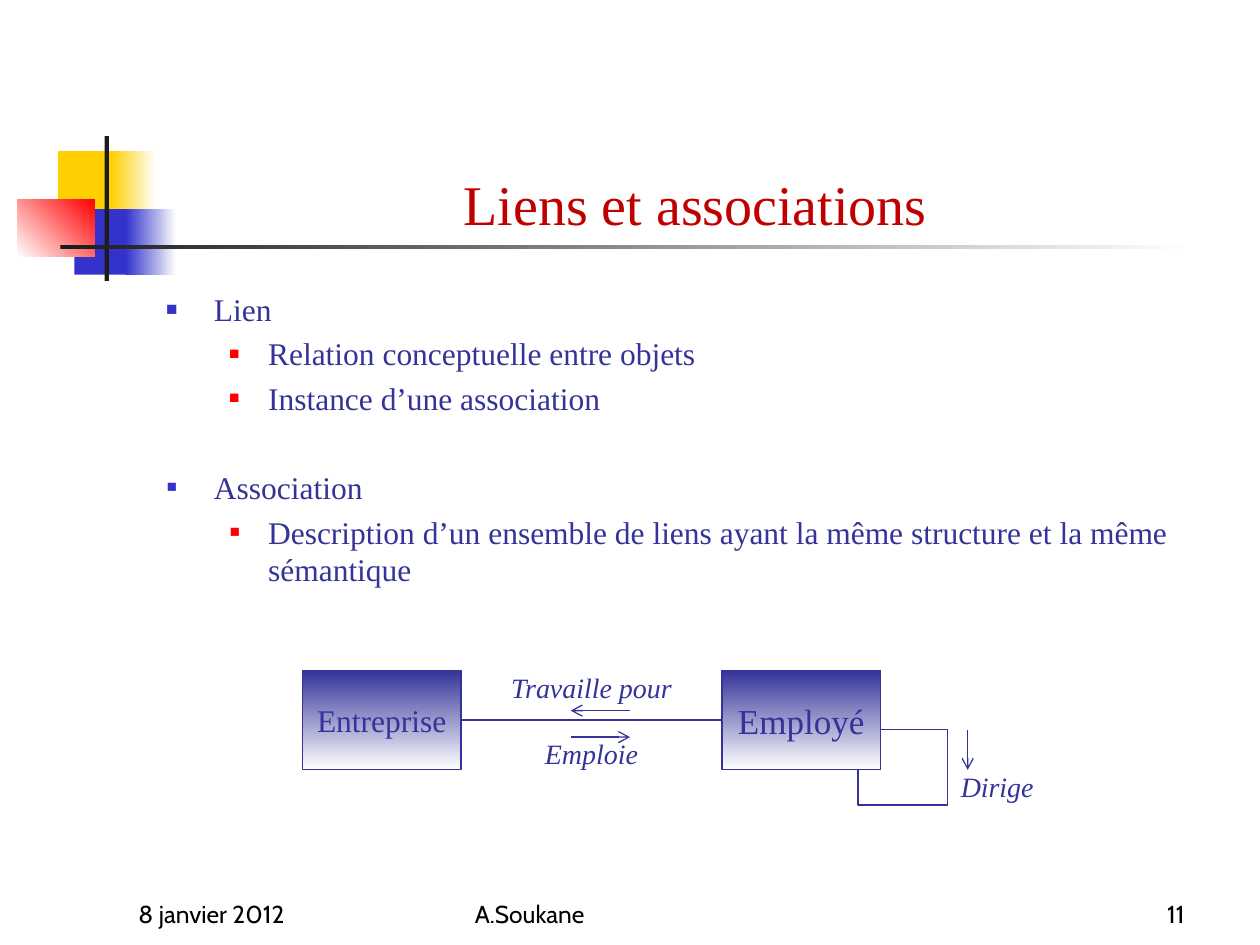
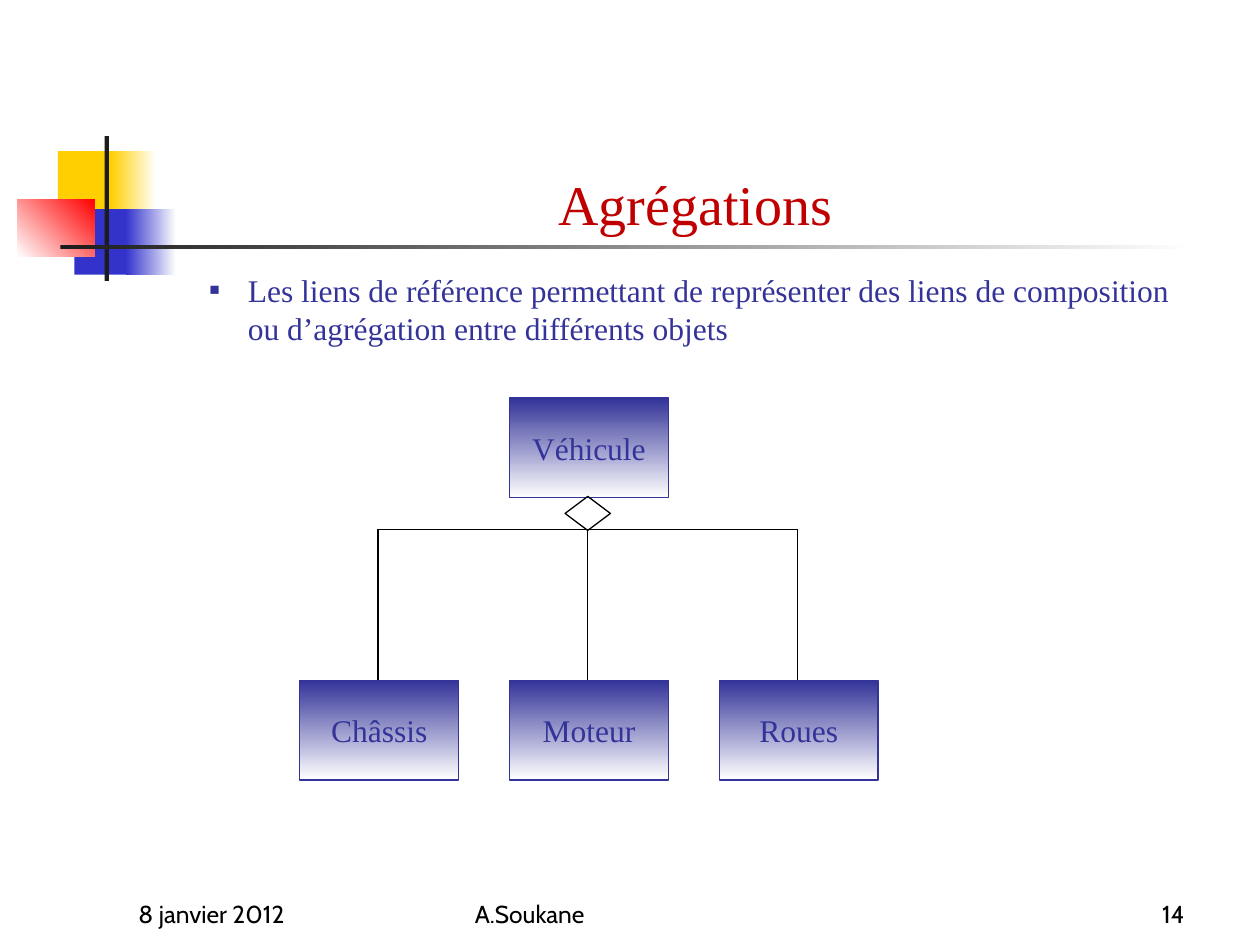
from dataclasses import dataclass

from lxml import etree
from pptx import Presentation
from pptx import util as u
from pptx.dml.color import RGBColor
from pptx.enum import shapes, text
from pptx.oxml import ns

COLS, ROWS = 100, 75
CELL = u.Inches(0.1)

NAVY = RGBColor(0x33, 0x33, 0x99)
BLUE = RGBColor(0x33, 0x33, 0xCC)
YELLOW = RGBColor(0xFF, 0xCF, 0x01)
RED = RGBColor(0xFF, 0x00, 0x00)
TITLE_RED = RGBColor(0xC0, 0x00, 0x00)
INK = RGBColor(0x1C, 0x1C, 0x1C)
BLACK = RGBColor(0x00, 0x00, 0x00)
WHITE = RGBColor(0xFF, 0xFF, 0xFF)

SERIF, SANS = "Times New Roman", "Cabin"
LEFT, CENTER, RIGHT = (text.PP_ALIGN.LEFT, text.PP_ALIGN.CENTER,
                       text.PP_ALIGN.RIGHT)
TOP, MIDDLE, BOTTOM = (text.MSO_ANCHOR.TOP, text.MSO_ANCHOR.MIDDLE,
                       text.MSO_ANCHOR.BOTTOM)
RECT = shapes.MSO_SHAPE.RECTANGLE

TITLE = {"name": SERIF, "size": u.Pt(32), "color": TITLE_RED}
BODY = {"name": SERIF, "size": u.Pt(18), "color": NAVY}
LARGE = {**BODY, "size": u.Pt(20)}
ROLE = {**BODY, "size": u.Pt(16), "italic": True}
FOOTER = {"name": SANS, "size": u.Pt(14), "color": BLACK}

INDENTS = [(0.38, 0.38), (0.81, 0.31)]
CLASS_W, CLASS_H = 12.6, 7.9


@dataclass
class Box:
    left: float
    top: float
    width: float
    height: float

    def inner(self, x, y, w, h):
        return Box(self.left + x, self.top + y, w, h)

    def emu(self):
        return [round(v * CELL)
                for v in (self.left, self.top, self.width, self.height)]


def write(p, words, style):
    r = p.add_run()
    r.text = words
    for key, value in style.items():
        if key == "color":
            r.font.color.rgb = value
        else:
            setattr(r.font, key, value)


def add_text(s, box, words, style, align=LEFT, anchor=TOP):
    tf = s.shapes.add_textbox(*box.emu()).text_frame
    tf.word_wrap = True
    tf.vertical_anchor = anchor
    p = tf.paragraphs[0]
    p.alignment = align
    write(p, words, style)


def add_figure(s, box, kind=RECT, fill=None, angle=0, line=None):
    sp = s.shapes.add_shape(kind, *box.emu())
    sp.shadow.inherit = False
    if fill is None:
        sp.fill.background()
    elif isinstance(fill, RGBColor):
        sp.fill.solid()
        sp.fill.fore_color.rgb = fill
    else:
        sp.fill.gradient()
        sp.fill.gradient_angle = -angle % 360
        for stop, color in zip(sp.fill.gradient_stops, fill):
            stop.color.rgb = color
    if line is None:
        sp.line.fill.background()
    else:
        sp.line.color.rgb = line
        sp.line.width = u.Pt(0.75)
    return sp


def add_line(s, box, start, end, color, arrow=False):
    ends = [round(v * CELL) for x, y in (start, end)
            for v in (box.left + x, box.top + y)]
    c = s.shapes.add_connector(shapes.MSO_CONNECTOR.STRAIGHT, *ends)
    c.line.color.rgb = color
    c.line.width = u.Pt(0.75)
    props = c.element.spPr
    if arrow:
        etree.SubElement(props.find(ns.qn("a:ln")), ns.qn("a:tailEnd"),
                         type="arrow")
    etree.SubElement(props, ns.qn("a:effectLst"))


def add_class(s, box, x, y, name, style=BODY):
    sp = add_figure(s, box.inner(x, y, CLASS_W, CLASS_H),
                    fill=(NAVY, WHITE), angle=90, line=NAVY)
    tf = sp.text_frame
    tf.word_wrap = False
    tf.vertical_anchor = MIDDLE
    p = tf.paragraphs[0]
    p.alignment = CENTER
    write(p, name, style)


def add_bullet(p, level, mark, percent, color):
    margin, hang = INDENTS[level]
    props = p._p.get_or_add_pPr()
    props.set("marL", str(u.Inches(margin)))
    props.set("indent", str(-u.Inches(hang)))
    tint = etree.SubElement(props, ns.qn("a:buClr"))
    etree.SubElement(tint, ns.qn("a:srgbClr"), val=str(color))
    etree.SubElement(props, ns.qn("a:buSzPct"), val=str(percent * 1000))
    etree.SubElement(props, ns.qn("a:buFont"), typeface="Arial")
    etree.SubElement(props, ns.qn("a:buChar"), char=mark)


def add_bullets(s, box, items):
    tf = s.shapes.add_textbox(*box.emu()).text_frame
    tf.word_wrap = True
    for i, (level, words, before, *bullet) in enumerate(items):
        p = tf.paragraphs[0] if i == 0 else tf.add_paragraph()
        p.level = level
        p.space_before = u.Pt(before)
        add_bullet(p, level, *bullet)
        write(p, words, BODY)


def add_emblem(s, box):
    for at, fill, angle in [
        ((3.2, 1.2, 4.8, 5.2), YELLOW, 0),
        ((7.4, 1.2, 3.6, 5.2), (YELLOW, WHITE), 0),
        ((4.5, 5.8, 4.6, 5.2), BLUE, 0),
        ((8.6, 5.8, 4, 5.2), (BLUE, WHITE), 0),
        ((0, 5, 6.1, 4.6), (WHITE, RED), 315),
        ((6.9, 0, 0.35, 11.5), INK, 0),
        ((3.4, 8.65, 90, 0.35), (INK, WHITE), 0),
    ]:
        add_figure(s, box.inner(*at), fill=fill, angle=angle)


def add_footer(s, box, number):
    for x, width, words, align in [
        (0, 20.8, "8 janvier 2012", LEFT),
        (26.7, 31.7, "A.Soukane", LEFT),
        (64.2, 20.8, str(number), RIGHT),
    ]:
        add_text(s, box.inner(x, 0, width, box.height), words, FOOTER,
                 align, BOTTOM)


def add_association(s, box):
    employee_x, class_y = 33.3, 0.5
    middle_y = class_y + CLASS_H / 2
    add_figure(s, box.inner(44.1, 5.2, 7.1, 6), line=NAVY)
    add_class(s, box, 0, class_y, "Entreprise")
    add_class(s, box, employee_x, class_y, "Employé", LARGE)
    add_line(s, box, (CLASS_W, middle_y), (employee_x, middle_y), NAVY)
    for x, y, role in [(14.3, 0, "Travaille pour"), (14.3, 5.3, "Emploie"),
                       (46.5, 7.9, "Dirige")]:
        add_text(s, box.inner(x, y, 17.3, 3.7), role, ROLE, CENTER)
    for start, end in [((26, 3.7), (21.3, 3.7)), ((21.3, 5.8), (26, 5.8)),
                       ((52.8, 5.2), (52.8, 8.4))]:
        add_line(s, box, start, end, NAVY, arrow=True)


def add_aggregation(s, box, whole, members):
    pitch = (box.width - CLASS_W) / (len(members) - 1)
    members_y, bar_y = box.height - CLASS_H, 10.4
    stems = [6.2 + i * pitch for i in range(len(members))]
    add_class(s, box, pitch, 0, whole)
    for i, (stem, name) in enumerate(zip(stems, members)):
        add_line(s, box, (stem, bar_y), (stem, members_y), BLACK)
        add_class(s, box, i * pitch, members_y, name)
    for start, end in zip(stems, stems[1:]):
        add_line(s, box, (start, bar_y), (end, bar_y), BLACK)
    add_figure(s, box.inner(pitch + 4.4, 7.8, 3.6, 2.7),
               shapes.MSO_SHAPE.DIAMOND, line=BLACK)


def add_slide(prs, title, number):
    s = prs.slides.add_slide(prs.slide_layouts[6])
    add_emblem(s, Box(1.4, 10.8, 93.4, 11.5))
    add_text(s, Box(12.6, 6.8, 85.2, 12.5), title, TITLE, CENTER, BOTTOM)
    add_footer(s, Box(10, 69.2, 85, 5), number)
    return s


def main():
    prs = Presentation()
    prs.slide_width, prs.slide_height = COLS * CELL, ROWS * CELL

    s = add_slide(prs, "Liens et associations", 11)
    add_bullets(s, Box(12.2, 22.5, 85, 45), [
        (0, "Lien", 4, "■", 60, BLUE),
        (1, "Relation conceptuelle entre objets", 4, "■", 55, RED),
        (1, "Instance d’une association", 4, "■", 55, RED),
        (0, "Association", 29, "▪", 104, BLUE),
        (1, "Description d’un ensemble de liens ayant la même structure "
            "et la même sémantique", 4, "▪", 104, RED),
    ])
    add_association(s, Box(24, 52.7, 63.8, 11.6))

    s = add_slide(prs, "Agrégations", 14)
    add_bullets(s, Box(10.6, 21, 85, 45), [
        (1, "Les liens de référence permettant de représenter des liens de "
            "composition ou d’agrégation entre différents objets",
         4, "▪", 104, NAVY),
    ])
    add_aggregation(s, Box(23.8, 31.6, 45.9, 30.3), "Véhicule",
                    ["Châssis", "Moteur", "Roues"])

    prs.save("out.pptx")


main()
